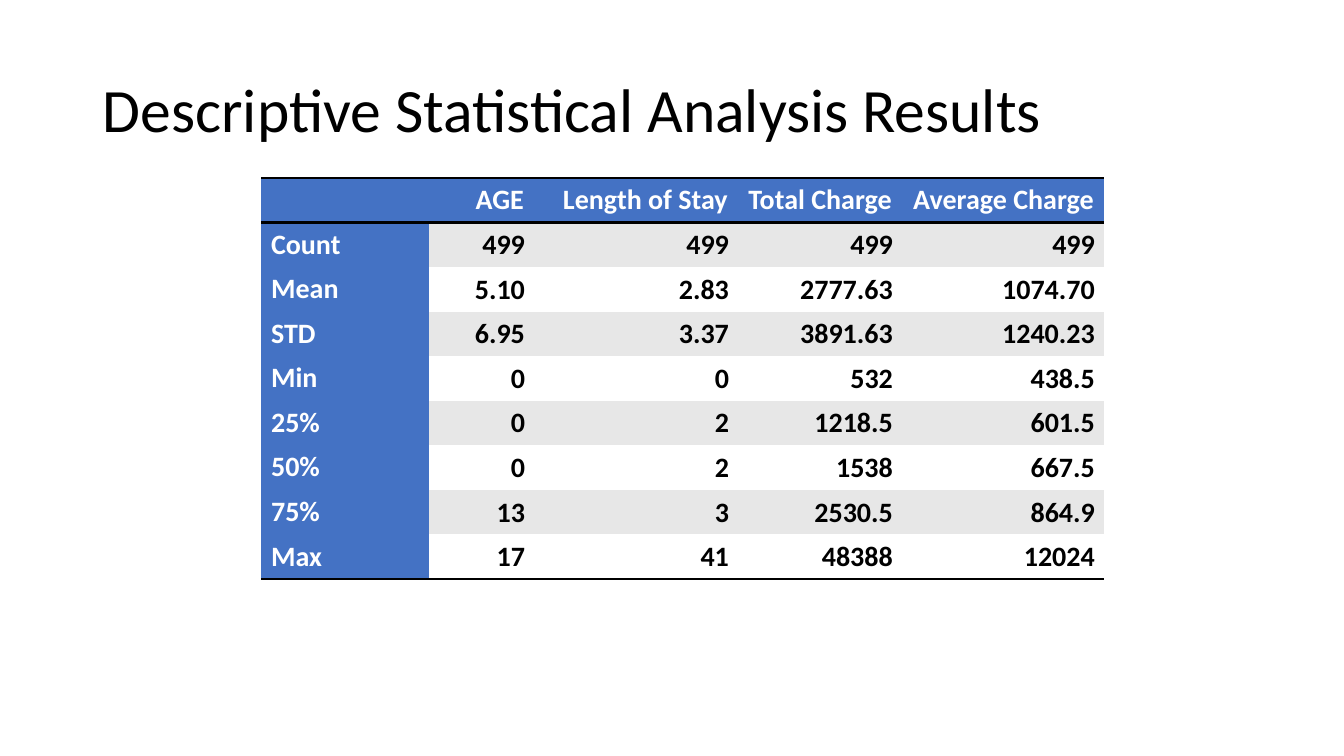
import pptx
import pptx.util
import pptx.dml.color
import pptx.enum.text
import pptx.oxml
import pptx.oxml.ns

RGB = pptx.dml.color.RGBColor
ALIGN = pptx.enum.text.PP_ALIGN
MIDDLE = pptx.enum.text.MSO_ANCHOR.MIDDLE
BLUE = RGB(0x44, 0x72, 0xC4)
GREY = RGB(0xE7, 0xE7, 0xE7)
WHITE = RGB(0xFF, 0xFF, 0xFF)
BLACK = RGB(0, 0, 0)

TITLE = "Descriptive Statistical Analysis Results"
STATS = [
    ("", "AGE", "Length of Stay", "Total Charge", "Average Charge"),
    ("Count", "499", "499", "499", "499"),
    ("Mean", "5.10", "2.83", "2777.63", "1074.70"),
    ("STD", "6.95", "3.37", "3891.63", "1240.23"),
    ("Min", "0", "0", "532", "438.5"),
    ("25%", "0", "2", "1218.5", "601.5"),
    ("50%", "0", "2", "1538", "667.5"),
    ("75%", "13", "3", "2530.5", "864.9"),
    ("Max", "17", "41", "48388", "12024"),
]
WIDTHS = [168, 105, 204, 164, 202]
TITLE_BOX = (93, 40, 1159, 146)
LEFT, TOP, HEIGHT = 261, 178, 401
PLAIN = "{2D5ABB26-0587-4C30-8999-92F81FD0307C}"
INSETS = {"margin_left": 1, "margin_top": 1, "margin_right": 9, "margin_bottom": 0}


def px(num):
    return round(num * 914400 / 100.8)


def style(item, values):
    for name, value in values.items():
        setattr(item, name, value)


def write(frame, text, size, color, bold, align):
    para = frame.paragraphs[0]
    para.alignment = align
    run = para.add_run()
    run.text = text
    style(run.font, {"name": "Calibri", "size": pptx.util.Pt(size), "bold": bold})
    run.font.color.rgb = color
    return para


def rule(cell, sides):
    props = cell._tc.get_or_add_tcPr()
    for place, side in enumerate(sides):
        line = pptx.oxml.parse_xml(
            f'<a:ln{side} {pptx.oxml.ns.nsdecls("a")} w="{pptx.util.Pt(2)}">'
            f'<a:solidFill><a:srgbClr val="{BLACK}"/></a:solidFill></a:ln{side}>'
        )
        props.insert(place, line)


deck = pptx.Presentation()
style(deck, {"slide_width": px(1344), "slide_height": px(756)})
slide = deck.slides.add_slide(deck.slide_layouts[6])

title = slide.shapes.add_textbox(*map(px, TITLE_BOX)).text_frame
style(title, {"word_wrap": True, "vertical_anchor": MIDDLE})
write(title, TITLE, 44, BLACK, False, ALIGN.LEFT).line_spacing = 0.9

holder = slide.shapes.add_table(
    len(STATS), len(WIDTHS), px(LEFT), px(TOP), px(sum(WIDTHS)), px(HEIGHT)
)
table = holder.table
style(table, {"first_row": False, "horz_banding": False})
for node in table._tbl.iter(pptx.oxml.ns.qn("a:tableStyleId")):
    node.text = PLAIN
for column, width in zip(table.columns, WIDTHS):
    column.width = px(width)

last = len(STATS) - 1
for i, row in enumerate(STATS):
    table.rows[i].height = px(HEIGHT / len(STATS))
    for j, text in enumerate(row):
        cell = table.cell(i, j)
        label = i == 0 or j == 0
        cell.vertical_anchor = MIDDLE
        cell.fill.solid()
        cell.fill.fore_color.rgb = BLUE if label else GREY if i % 2 else WHITE
        if not label:
            style(cell, {name: px(gap) for name, gap in INSETS.items()})
        if text:
            align = ALIGN.RIGHT if j else ALIGN.LEFT
            write(cell.text_frame, text, 20, WHITE if label else BLACK, True, align)
        rule(cell, {0: "TB", last: "B"}.get(i, ""))

deck.save("out.pptx")
